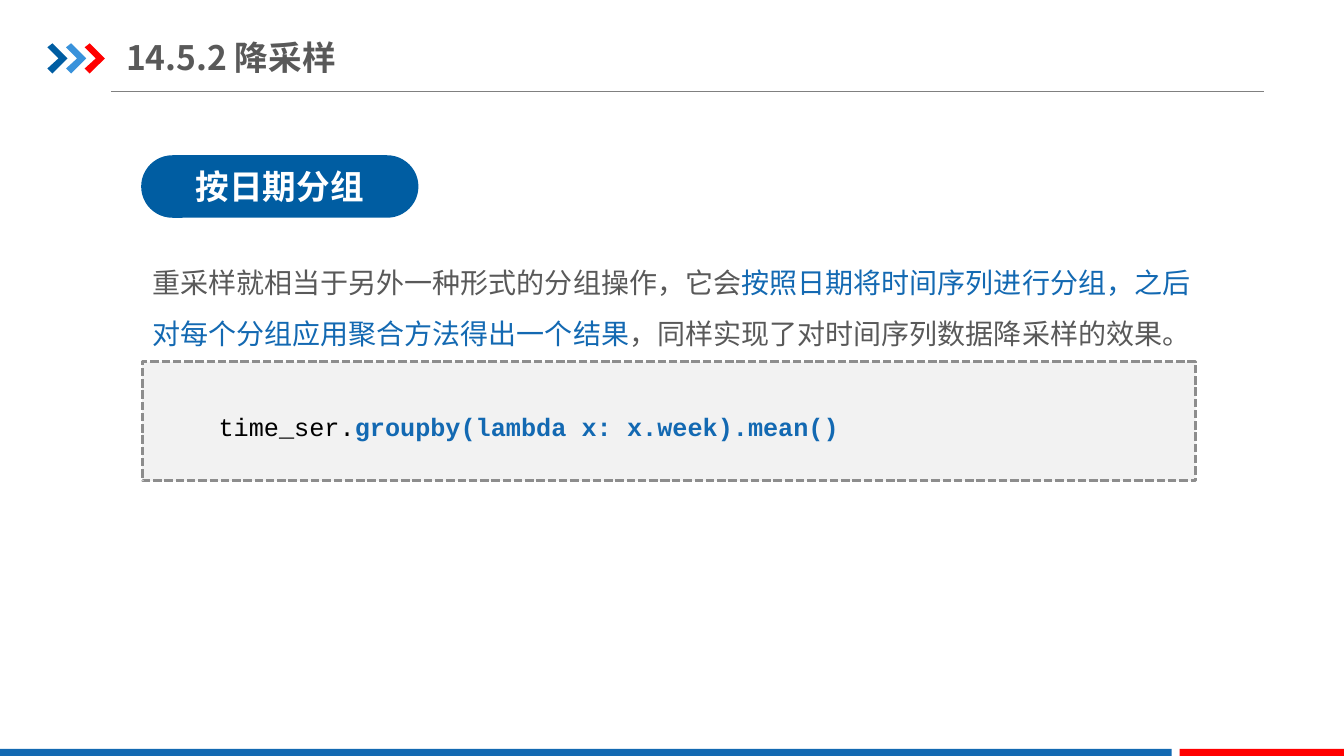
from dataclasses import dataclass

from lxml.etree import SubElement
from pptx import Presentation
from pptx.dml.color import RGBColor
from pptx.enum.dml import MSO_LINE
from pptx.enum.shapes import MSO_CONNECTOR, MSO_SHAPE
from pptx.enum.text import MSO_ANCHOR as Anchor, MSO_AUTO_SIZE, PP_ALIGN as Align
from pptx.oxml.ns import qn
from pptx.util import Inches, Pt


@dataclass(frozen=True)
class Theme:
    navy: str = "005DA2"
    sky: str = "3992DB"
    blue: str = "1369B2"
    red: str = "FF0000"
    ink: str = "595959"
    black: str = "000000"
    white: str = "FFFFFF"
    rule: str = "808080"
    panel: str = "F2F2F2"
    dash: str = "8D8D8D"
    sans: str = "Noto Sans CJK SC"
    mono: str = "Courier New"
    heading: int = 24
    body: int = 20
    code: int = 18


THEME = Theme()


def place(shape, left, top, width, height):
    shape.left, shape.top = Inches(left), Inches(top)
    shape.width, shape.height = Inches(width), Inches(height)


def paint(shape, fill, line=None):
    shape.shadow.inherit = False
    shape.fill.solid()
    shape.fill.fore_color.rgb = RGBColor.from_string(fill)
    if line:
        shape.line.color.rgb = RGBColor.from_string(line)
    else:
        shape.line.fill.background()


def add_block(page, kind, box, fill, line=None):
    block = page.shapes.add_shape(kind, *map(Inches, box))
    paint(block, fill, line)
    return block


def write(shape, *pieces, size, font=THEME.sans, bold=False, align=Align.LEFT,
          anchor=Anchor.TOP, spacing=1.0, indent=0, insets=(0.1, 0.05)):
    """Write one paragraph from (text, colour) or (text, colour, bold) pieces."""
    frame = shape.text_frame
    frame.word_wrap = True
    frame.auto_size = MSO_AUTO_SIZE.NONE
    frame.vertical_anchor = anchor
    frame.margin_left = frame.margin_right = Inches(insets[0])
    frame.margin_top = frame.margin_bottom = Inches(insets[1])
    para = frame.paragraphs[0]
    para.alignment, para.line_spacing, para.space_before = align, spacing, Pt(0)
    settings = para._p.get_or_add_pPr()
    settings.set("marL", "0")
    settings.set("indent", str(Inches(indent)))
    SubElement(settings, qn("a:buNone"))
    for text, color, *weight in pieces:
        span = para.add_run()
        span.text = text
        span.font.size = Pt(size)
        span.font.bold = weight[0] if weight else bold
        span.font.color.rgb = RGBColor.from_string(color)
        span.font.name = font
        SubElement(span._r.get_or_add_rPr(), qn("a:ea"), typeface=font)


def add_chevron(page, left, top, color):
    outline = [(0, 0.04), (0.05, 0), (0.2, 0.15), (0.05, 0.3), (0, 0.25), (0.11, 0.15)]
    points = [(Inches(left + x), Inches(top + y)) for x, y in outline]
    builder = page.shapes.build_freeform(*points[0], scale=1.0)
    builder.add_line_segments(points[1:], close=True)
    paint(builder.convert_to_shape(), color)


def add_header(page, title, left, top, width):
    for step, color in enumerate((THEME.navy, THEME.sky, THEME.red)):
        add_chevron(page, left + step * 0.185, top + 0.14, color)
    rule_y = Inches(top + 0.62)
    rule = page.shapes.add_connector(MSO_CONNECTOR.STRAIGHT, Inches(left + 0.63), rule_y,
                                     Inches(left + width), rule_y)
    rule.line.color.rgb = RGBColor.from_string(THEME.rule)
    rule.line.width = Pt(0.75)
    SubElement(rule._element.spPr, qn("a:effectLst"))
    place(page.shapes.title, left + 0.78, top, 4.55, 0.55)
    write(page.shapes.title, (title, THEME.ink), size=THEME.heading, bold=True,
          anchor=Anchor.MIDDLE, insets=(0, 0.07))


def add_footer(page, top, width, height):
    red_width, gap = 1.63, 0.08
    blue_width = width - red_width - gap
    add_block(page, MSO_SHAPE.RECTANGLE, (0, top, blue_width, height), THEME.blue)
    add_block(page, MSO_SHAPE.RECTANGLE,
              (blue_width + gap, top, red_width, height), THEME.red)


def add_label(page, text, box):
    pill = add_block(page, MSO_SHAPE.ROUNDED_RECTANGLE, box, THEME.navy)
    pill.adjustments[0] = 0.5
    write(pill, (text, THEME.white), size=THEME.heading, bold=True,
          align=Align.CENTER, anchor=Anchor.MIDDLE)


def add_explanation(page, pieces, box):
    body = page.placeholders[1]
    place(body, *box)
    write(body, *pieces, size=THEME.body, spacing=1.5)


def add_code(page, pieces, left, top, width, height):
    panel = add_block(page, MSO_SHAPE.RECTANGLE, (left, top, width, height),
                      THEME.panel, THEME.dash)
    panel.line.width = Pt(2)
    panel.line.dash_style = MSO_LINE.SQUARE_DOT
    code = page.shapes.add_textbox(Inches(left + 0.37), Inches(top + 0.4),
                                   Inches(width - 1.05), Inches(0.45))
    write(code, *pieces, size=THEME.code, font=THEME.mono, spacing=1.15, indent=0.29)


def build_page(deck):
    page = deck.slides.add_slide(deck.slide_layouts[1])
    add_header(page, "14.5.2 降采样", 0.47, 0.29, 12.07)
    add_footer(page, 7.43, 13.33, 0.09)
    add_label(page, "按日期分组", (1.4, 1.54, 2.75, 0.62))
    add_explanation(page, [
        ("重采样就相当于另外一种形式的分组操作，它会", THEME.ink),
        ("按照日期将时间序列进行分组，之后对每个分组应用聚合方法得出一个结果", THEME.blue),
        ("，同样实现了对时间序列数据降采样的效果。", THEME.ink),
    ], (1.41, 2.42, 10.61, 1.11))
    add_code(page, [
        ("time_ser.", THEME.black),
        ("groupby(lambda x: x.week).mean()", THEME.blue, True),
    ], 1.41, 3.59, 10.45, 1.18)


def main():
    deck = Presentation()
    deck.slide_width, deck.slide_height = Inches(13.33), Inches(7.5)
    build_page(deck)
    deck.save("out.pptx")


if __name__ == "__main__":
    main()
